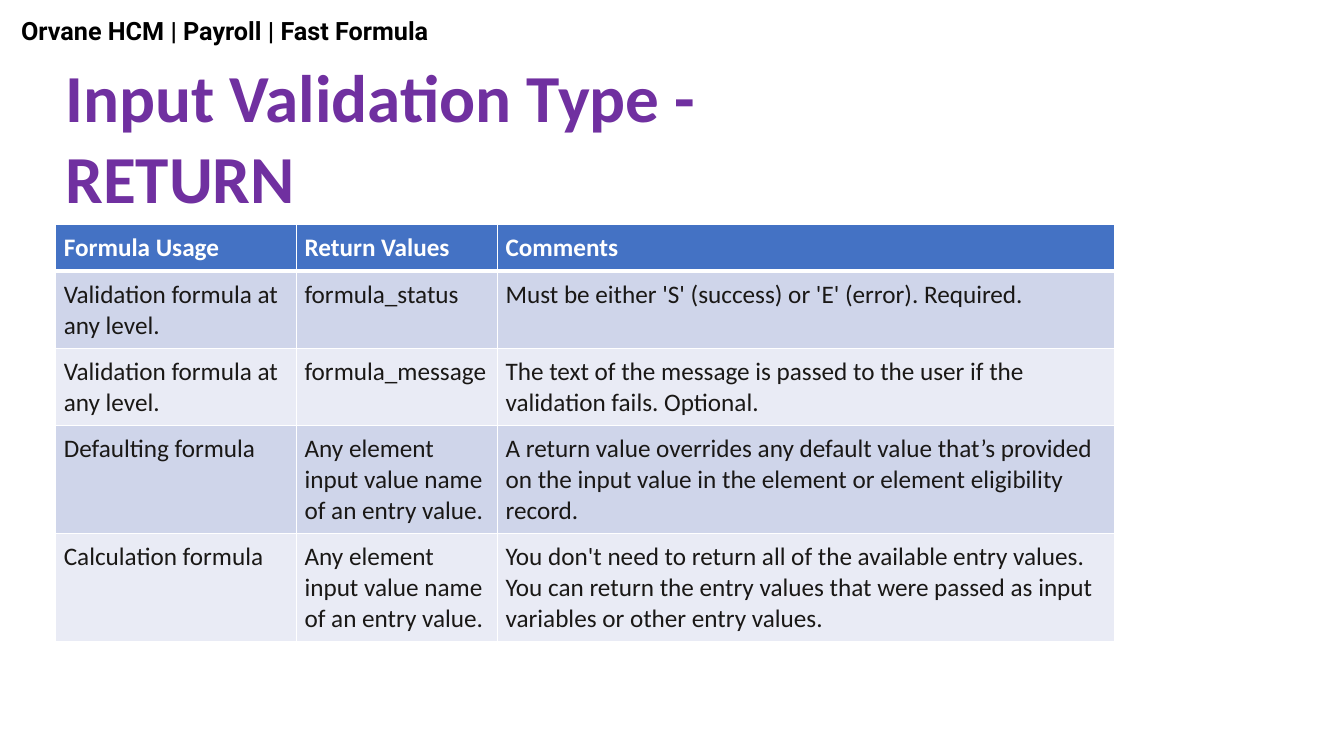
from pptx import Presentation
from pptx.dml.color import RGBColor
from pptx.enum.text import MSO_ANCHOR
from pptx.oxml import parse_xml
from pptx.oxml.ns import nsdecls
from pptx.util import Pt

HEADINGS = [
    # text, (left, top, width, height), font, size, colour
    ("Orvane HCM | Payroll | Fast Formula", (8, 7.2, 485, 29), "Roboto", 18, "black"),
    ("Input Validation Type - RETURN", (39.6, 36, 587, 124), "Calibri", 48, "purple"),
]
ROWS = [
    ("Formula Usage", "Return Values", "Comments"),
    ("Validation formula at any level.", "formula_status",
     "Must be either 'S' (success) or 'E' (error). Required."),
    ("Validation formula at any level.", "formula_message",
     "The text of the message is passed to the user if the validation fails. Optional."),
    ("Defaulting formula", "Any element input value name of an entry value.",
     "A return value overrides any default value that’s provided on the input value "
     "in the element or element eligibility record."),
    ("Calculation formula", "Any element input value name of an entry value.",
     "You don't need to return all of the available entry values. You can return the "
     "entry values that were passed as input variables or other entry values."),
]
COLORS = {"black": "000000", "purple": "7030A0", "white": "FFFFFF", "ink": "1A1816",
          "head": "4472C4", "odd": "CFD5EA", "even": "E9EBF5"}
WIDTHS = [172, 143.6, 440.8]
HEIGHTS = [33.2, 55, 55, 77, 77]
LEFT, TOP = 39.6, 160
PAD = 6


def rgb(name):
    return RGBColor.from_string(COLORS[name])


def write(frame, text, font, size, color, bold):
    run = frame.paragraphs[0].add_run()
    run.text = text
    run.font.name = font
    run.font.size = Pt(size)
    run.font.bold = bold
    run.font.color.rgb = rgb(color)


def add_edges(cell, top, bottom):
    """Draw white cell borders; the schema wants them ahead of the fill."""
    props = cell._tc.get_or_add_tcPr()
    sides = {"lnL": 1, "lnR": 1, "lnT": top, "lnB": bottom}
    for place, (side, width) in enumerate(sides.items()):
        props.insert(place, parse_xml(
            f'<a:{side} {nsdecls("a")} w="{Pt(width)}"><a:solidFill>'
            f'<a:srgbClr val="{COLORS["white"]}"/></a:solidFill></a:{side}>'))


def fill_cell(cell, text, row):
    head = row == 0
    cell.margin_left = cell.margin_right = Pt(PAD)
    cell.margin_top = cell.margin_bottom = Pt(PAD)
    cell.vertical_anchor = MSO_ANCHOR.BOTTOM if head else MSO_ANCHOR.TOP
    cell.fill.solid()
    cell.fill.fore_color.rgb = rgb("head" if head else "odd" if row % 2 else "even")
    write(cell.text_frame, text, "Calibri", 18, "white" if head else "ink", head)
    add_edges(cell, 3 if row == 1 else 1, 3 if head else 1)


def add_heading(slide, text, box, font, size, color):
    frame = slide.shapes.add_textbox(*map(Pt, box)).text_frame
    frame.word_wrap = True
    write(frame, text, font, size, color, True)


def add_grid(slide):
    table = slide.shapes.add_table(
        len(ROWS), len(WIDTHS), Pt(LEFT), Pt(TOP),
        Pt(sum(WIDTHS)), Pt(sum(HEIGHTS))).table
    for column, width in zip(table.columns, WIDTHS):
        column.width = Pt(width)
    for row, (texts, height) in enumerate(zip(ROWS, HEIGHTS)):
        table.rows[row].height = Pt(height)
        for col, text in enumerate(texts):
            fill_cell(table.cell(row, col), text, row)


def main():
    deck = Presentation()
    deck.slide_width, deck.slide_height = Pt(960), Pt(540)
    slide = deck.slides.add_slide(deck.slide_layouts[6])
    for heading in HEADINGS:
        add_heading(slide, *heading)
    add_grid(slide)
    deck.save("out.pptx")


if __name__ == "__main__":
    main()
